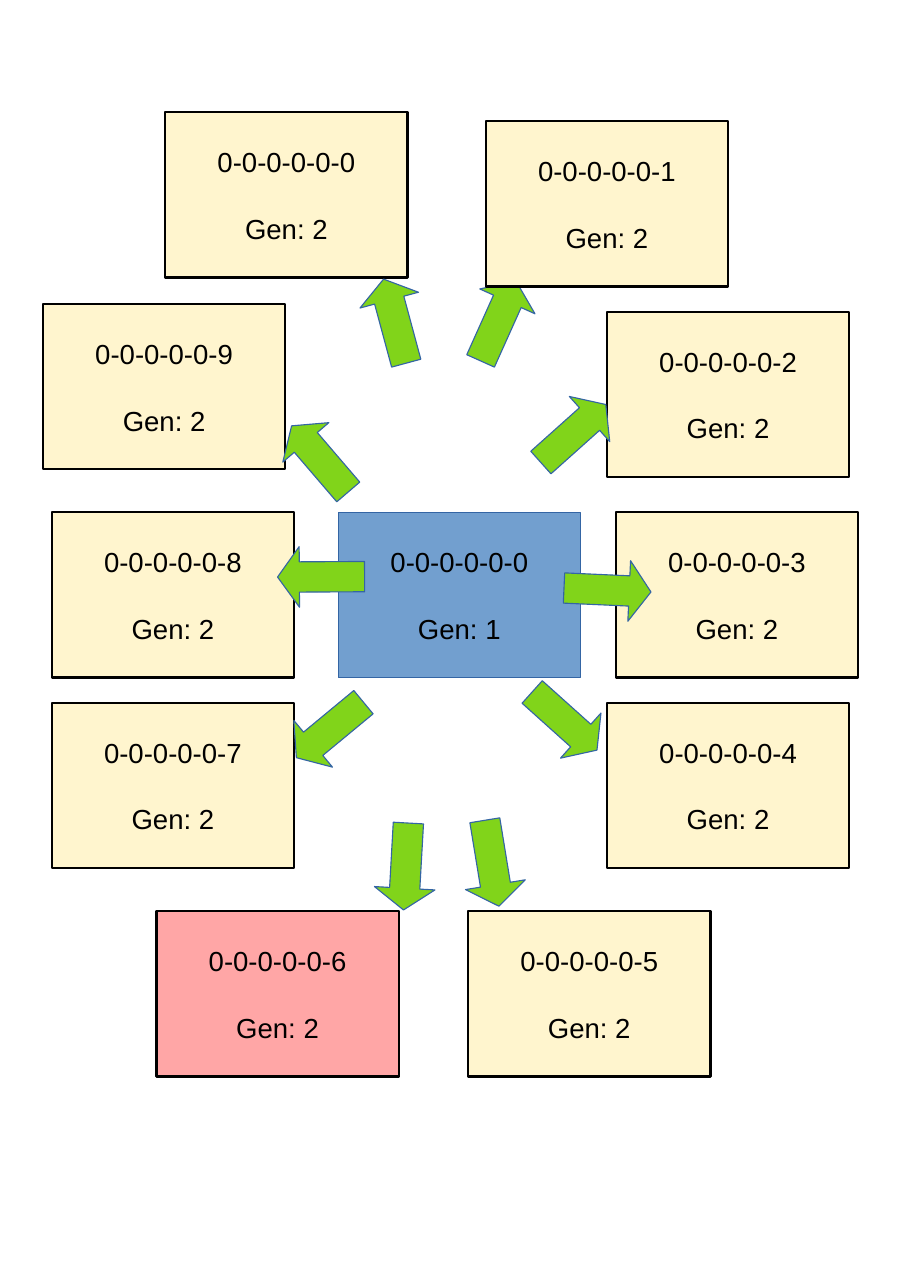
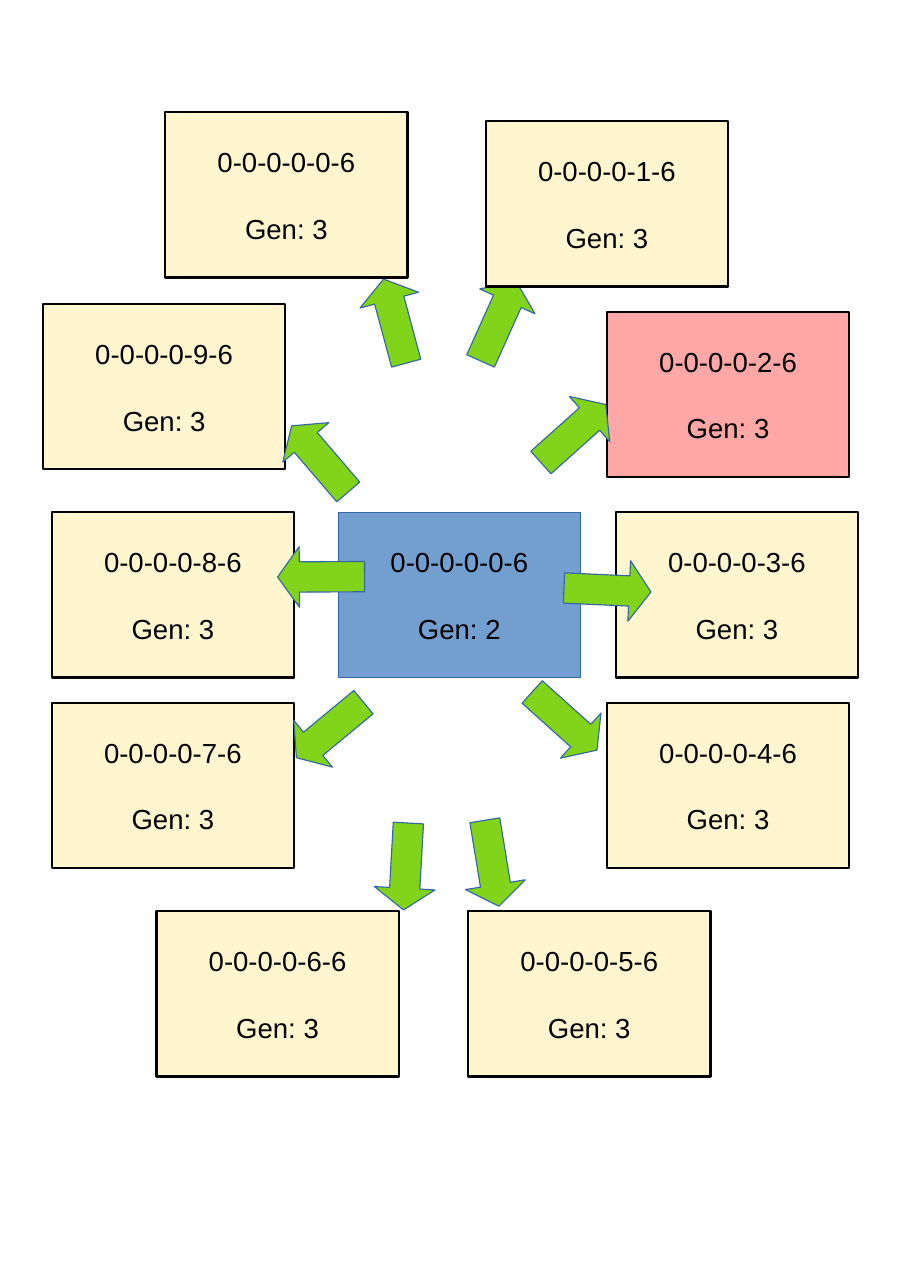
from collections import namedtuple

from pptx import Presentation
from pptx.dml.color import RGBColor
from pptx.enum.shapes import MSO_SHAPE
from pptx.enum.text import MSO_ANCHOR, PP_ALIGN
from pptx.util import Inches, Pt

Style = namedtuple("Style", "fill line line_width")
Child = namedtuple("Child", "left top arrow_left arrow_top arrow_angle")

PARENT = Style("729FCF", "3465A4", 0)
CHILD = Style("FFF5CE", "000000", 1.5)
SELECTED = Style("FFA6A6", "000000", 1.5)
ARROW = Style("81D41A", "3465A4", 0)

NODE_WIDTH, NODE_HEIGHT = 2.2, 1.5
ARROW_WIDTH, ARROW_HEIGHT = 0.55, 0.79
PARENT_LEFT, PARENT_TOP = 3.07, 4.65

CHILDREN = [
    Child(-1.57, -3.63, 0.24, -2.13, 344.9),
    Child(1.34, -3.55, 1.18, -2.13, 24.2),
    Child(2.44, -1.82, 1.86, -1.11, 48.2),
    Child(2.52, 0, 2.17, 0.31, 92.6),
    Child(2.44, 1.73, 1.78, 1.5, 131.9),
    Child(1.18, 3.62, 1.12, 2.79, 170.7),
    Child(-1.65, 3.62, 0.34, 2.82, 183.2),
    Child(-2.6, 1.73, -0.35, 1.58, 230.4),
    Child(-2.6, 0, -0.43, 0.19, 269.7),
    Child(-2.68, -1.89, -0.44, -0.88, 319.4),
]
ARROWS_BEHIND = {1}


def color(hex_string):
    return RGBColor.from_string(hex_string)


def add_styled_shape(slide, kind, left, top, width, height, style):
    shape = slide.shapes.add_shape(
        kind, Inches(left), Inches(top), Inches(width), Inches(height)
    )
    shape.shadow.inherit = False
    shape.fill.solid()
    shape.fill.fore_color.rgb = color(style.fill)
    shape.line.color.rgb = color(style.line)
    shape.line.width = Pt(style.line_width)
    return shape


def add_node(slide, left, top, name, generation, style):
    shape = add_styled_shape(
        slide, MSO_SHAPE.RECTANGLE, left, top, NODE_WIDTH, NODE_HEIGHT, style
    )
    frame = shape.text_frame
    frame.word_wrap = False
    frame.vertical_anchor = MSO_ANCHOR.MIDDLE
    frame.text = f"{name}\nGen: {generation}"
    for paragraph in frame.paragraphs:
        paragraph.alignment = PP_ALIGN.CENTER
        paragraph.font.name = "Arial"
        paragraph.font.size = Pt(18)
        paragraph.font.color.rgb = color("000000")
    frame.paragraphs[1].space_before = Pt(22)


def add_arrow(slide, left, top, child):
    shape = add_styled_shape(
        slide,
        MSO_SHAPE.UP_ARROW,
        left + child.arrow_left,
        top + child.arrow_top,
        ARROW_WIDTH,
        ARROW_HEIGHT,
        ARROW,
    )
    shape.adjustments[0] = 0.5
    shape.adjustments[1] = 0.36
    shape.rotation = child.arrow_angle


def add_family(slide, left, top, parent_name, child_pattern, generation, selected):
    add_node(slide, left, top, parent_name, generation, PARENT)
    for number in ARROWS_BEHIND:
        add_arrow(slide, left, top, CHILDREN[number])
    for number, child in enumerate(CHILDREN):
        add_node(
            slide,
            left + child.left,
            top + child.top,
            child_pattern.format(number),
            generation + 1,
            SELECTED if number == selected else CHILD,
        )
    for number, child in enumerate(CHILDREN):
        if number not in ARROWS_BEHIND:
            add_arrow(slide, left, top, child)


def main():
    presentation = Presentation()
    presentation.slide_width = Inches(8.27)
    presentation.slide_height = Inches(11.69)
    blank_layout = presentation.slide_layouts[6]
    families = [
        ("0-0-0-0-0-0", "0-0-0-0-0-{}", 1, 6),
        ("0-0-0-0-0-6", "0-0-0-0-{}-6", 2, 2),
    ]
    for family in families:
        slide = presentation.slides.add_slide(blank_layout)
        add_family(slide, PARENT_LEFT, PARENT_TOP, *family)
    presentation.save("out.pptx")


if __name__ == "__main__":
    main()
